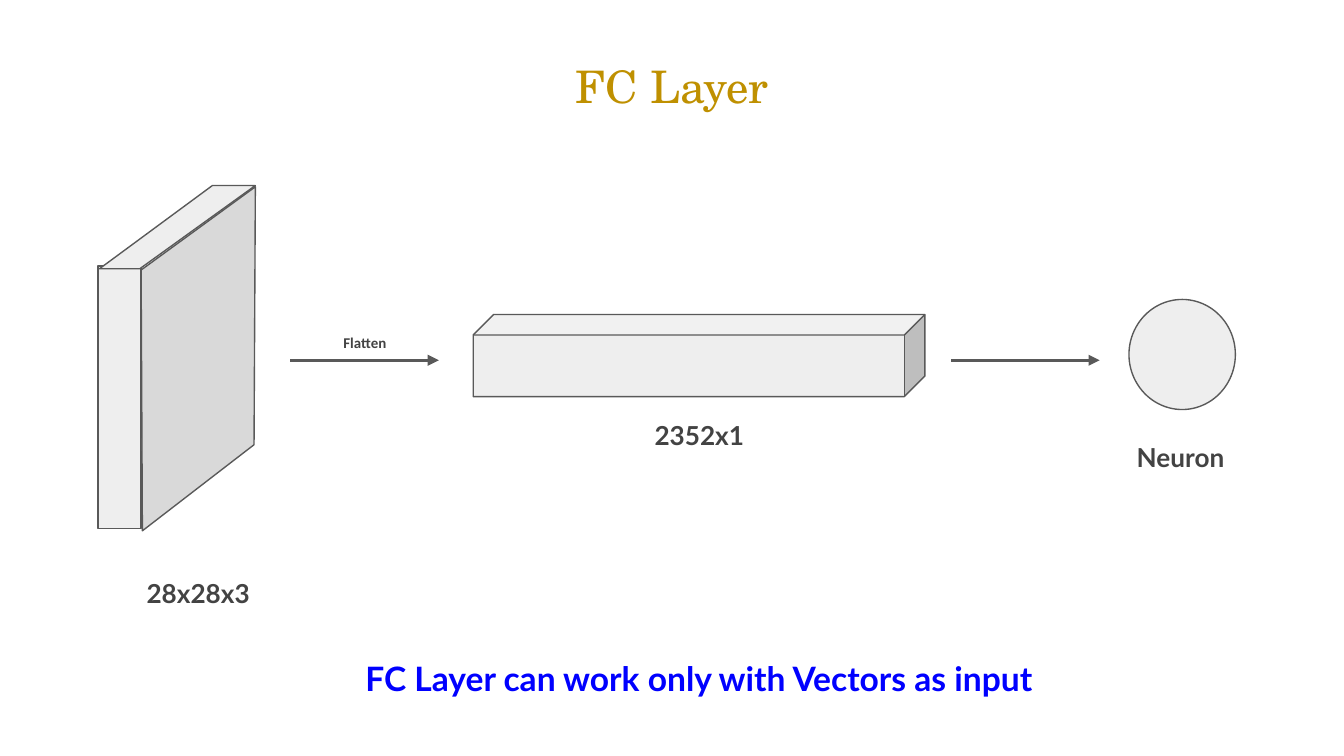
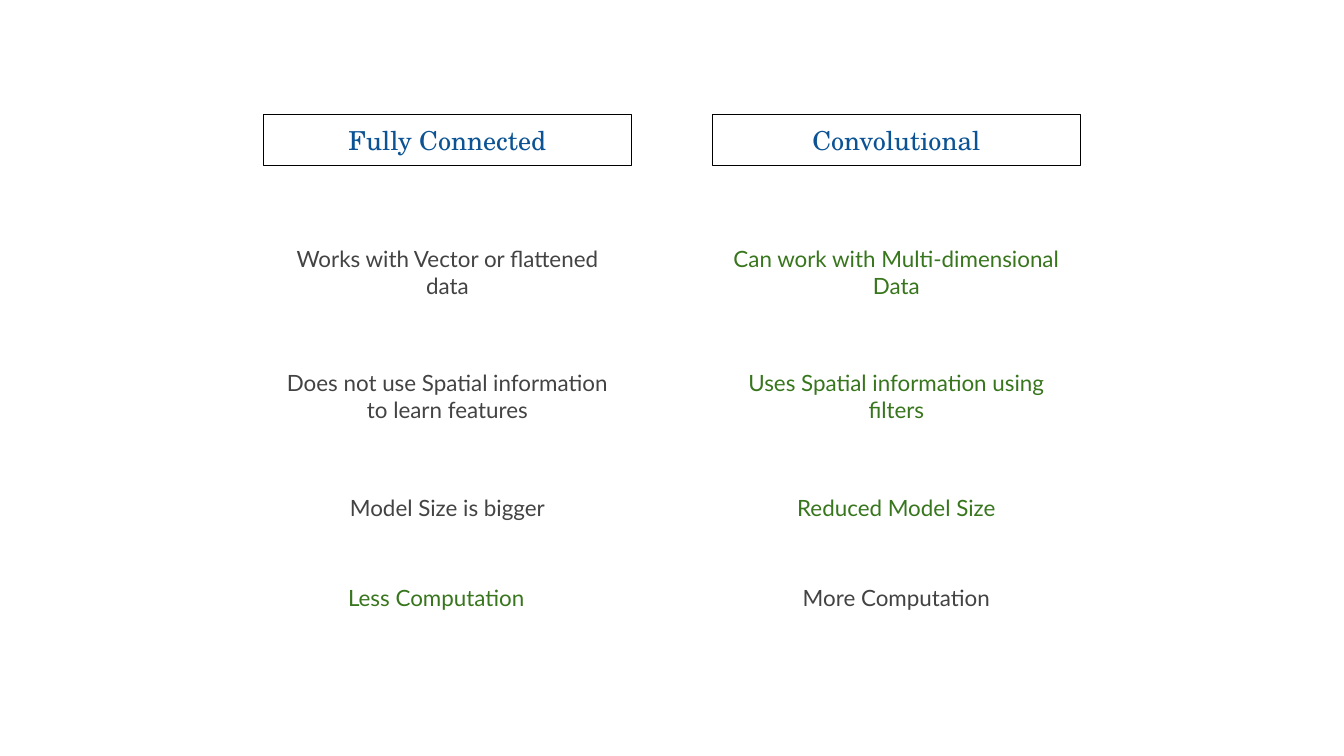
from typing import NamedTuple

from lxml import etree
from pptx import Presentation
from pptx import slide as s
from pptx import util as u
from pptx.dml import color
from pptx.enum import shapes, text
from pptx.oxml import ns
from pptx.shapes import autoshape, base

Kind = shapes.MSO_SHAPE
Pt = u.Pt

SANS, SERIF = "Lato", "TeX Gyre Schola"
GREY, GREEN, BLUE, GOLD, NAVY = "434343", "38761D", "0000FF", "BF9000", "0B5394"
EDGE, PALE, SIDE, BLACK = "595959", "EEEEEE", "D9D9D9", "000000"


class Box(NamedTuple):
    left: float
    top: float
    width: float
    height: float


class Style(NamedTuple):
    size: float
    hue: str = GREY
    font: str = SANS
    bold: bool = False


class Label(NamedTuple):
    words: str
    box: Box
    style: Style


class Solid(NamedTuple):
    kind: Kind
    box: Box


class Face(NamedTuple):
    points: list[tuple[float, float]]
    hue: str


class Column(NamedTuple):
    left: float
    head: str
    items: list[tuple[str, str]]


TITLE = Style(24, GOLD, SERIF)
HEAD = Style(14, NAVY, SERIF)
SIZE = Style(14, bold=True)

SOLIDS = [
    Solid(Kind.RECTANGLE, Box(52.5, 142.5, 23, 140.5)),
    Solid(Kind.CUBE, Box(253.5, 168.5, 242, 44)),
    Solid(Kind.OVAL, Box(604.8, 160.4, 57, 59)),
]
FACES = [
    Face([(53.3, 144), (113.8, 99.4), (136.8, 99.4), (74.9, 144)], PALE),
    Face([(76.3, 284.4), (136.1, 238.3), (136.8, 100.1), (75.6, 144.7)], SIDE),
]
ARROWS = [155.5, 509.5]
LABELS = [
    Label("28x28x3", Box(56.9, 304, 98.6, 27.4), SIZE),
    Label("2352x1", Box(325.4, 219.2, 98.6, 27.4), SIZE),
    Label("Neuron", Box(583.2, 231.2, 98.6, 27.4), SIZE),
    Label("Flatten", Box(146.2, 175, 98.6, 16.6), Style(8, font="Calibri", bold=True)),
    Label("FC Layer can work only with Vectors as input",
          Box(88.6, 344.2, 571.7, 38.2), Style(18, BLUE, bold=True)),
]

ROWS = [127.4, 193.7, 253.4, 301.7]
COLUMNS = [
    Column(141.1, "Fully Connected", [
        ("Works with Vector or flattened data", GREY),
        ("Does not use Spatial information to learn features", GREY),
        ("Model Size is bigger", GREY),
        ("Less Computation", GREEN),
    ]),
    Column(381.6, "Convolutional", [
        ("Can work with Multi-dimensional Data", GREEN),
        ("Uses Spatial information using filters", GREEN),
        ("Reduced Model Size", GREEN),
        ("More Computation", GREY),
    ]),
]
SHIFT = {"Less Computation": -6}


def rgb(hue: str) -> color.RGBColor:
    return color.RGBColor.from_string(hue)


def place(item: base.BaseShape, box: Box) -> None:
    item.left, item.top, item.width, item.height = map(Pt, box)


def write(item: autoshape.Shape, words: str, style: Style) -> None:
    frame = item.text_frame
    frame.text = words
    frame.word_wrap = True
    frame.auto_size = text.MSO_AUTO_SIZE.NONE
    frame.vertical_anchor = text.MSO_ANCHOR.MIDDLE
    frame.margin_left = frame.margin_right = Pt(7.2)
    frame.margin_top = frame.margin_bottom = Pt(7.2)
    para = frame.paragraphs[0]
    para.alignment = text.PP_ALIGN.CENTER
    font = para.font
    font.name, font.size, font.bold = style.font, Pt(style.size), style.bold
    font.color.rgb = rgb(style.hue)


def paint(item: autoshape.Shape, fill: str | None, edge: str) -> None:
    item.shadow.inherit = False
    if fill:
        item.fill.solid()
        item.fill.fore_color.rgb = rgb(fill)
    else:
        item.fill.background()
    item.line.color.rgb = rgb(edge)
    item.line.width = Pt(0.75)


def label(page: s.Slide, part: Label) -> None:
    item = page.shapes.add_textbox(*map(Pt, part.box))
    write(item, part.words, part.style)


def solid(page: s.Slide, part: Solid) -> None:
    item = page.shapes.add_shape(part.kind, *map(Pt, part.box))
    paint(item, PALE, EDGE)


def face(page: s.Slide, part: Face) -> None:
    first, *rest = [(Pt(x), Pt(y)) for x, y in part.points]
    pen = page.shapes.build_freeform(*first)
    pen.add_line_segments(rest, close=True)
    paint(pen.convert_to_shape(), part.hue, EDGE)


def arrow(page: s.Slide, left: float) -> None:
    row = Pt(193)
    item = page.shapes.add_connector(
        shapes.MSO_CONNECTOR.STRAIGHT, Pt(left), row, Pt(left + 79.6), row)
    item.line.color.rgb = rgb(EDGE)
    item.line.width = Pt(1.5)
    props = item.element.spPr
    tip = etree.SubElement(props.find(ns.qn("a:ln")), ns.qn("a:tailEnd"))
    tip.set("type", "triangle")
    etree.SubElement(props, ns.qn("a:effectLst"))


def layer(deck: Presentation) -> None:
    page = deck.slides.add_slide(deck.slide_layouts[5])
    title = page.shapes.title
    place(title, Box(74.2, 28.8, 571.7, 33.8))
    write(title, "FC Layer", TITLE)
    for part in SOLIDS[:1]:
        solid(page, part)
    for part in FACES:
        face(page, part)
    for part in SOLIDS[1:]:
        solid(page, part)
    for left in ARROWS:
        arrow(page, left)
    for part in LABELS:
        label(page, part)


def compare(deck: Presentation) -> None:
    page = deck.slides.add_slide(deck.slide_layouts[6])
    for col in COLUMNS:
        box = Box(col.left, 61.2, 197.3, 27.4)
        head = page.shapes.add_shape(Kind.RECTANGLE, *map(Pt, box))
        paint(head, None, BLACK)
        write(head, col.head, HEAD)
        for top, (words, hue) in zip(ROWS, col.items):
            left = col.left + SHIFT.get(words, 0)
            label(page, Label(words, Box(left, top, 197.3, 36.7), Style(12, hue)))


def main() -> None:
    deck = Presentation()
    deck.slide_width, deck.slide_height = Pt(720), Pt(405)
    layer(deck)
    compare(deck)
    deck.save("out.pptx")


if __name__ == "__main__":
    main()
